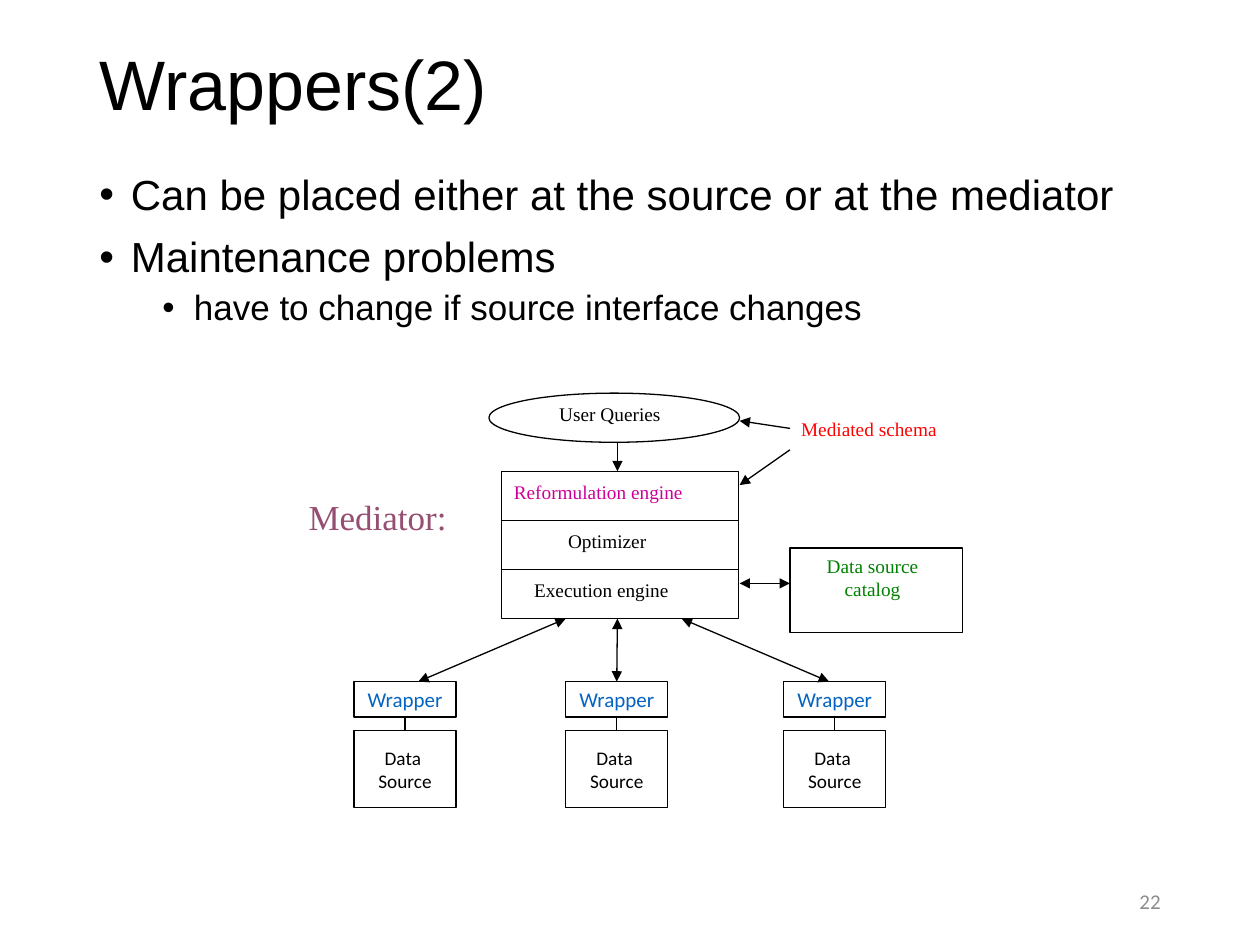
from lxml.etree import SubElement
from pptx import Presentation
from pptx.dml.color import RGBColor
from pptx.enum.shapes import MSO_CONNECTOR, MSO_SHAPE
from pptx.enum.text import MSO_ANCHOR, PP_ALIGN
from pptx.oxml.ns import qn
from pptx.util import Pt

PX = 9144
HUES = {"ink": "000000", "gray": "8C8C8C", "blue": "0563C1", "plum": "954F72",
        "red": "FF0000", "green": "008000", "pink": "CC0099"}
TIMES = {"name": "Times New Roman", "size": Pt(11)}
CALIBRI = {"name": "Calibri", "size": Pt(11)}
ARIAL = {"name": "Arial", "size": Pt(24)}
MID = {"vertical_anchor": MSO_ANCHOR.MIDDLE}


def apply(item, form):
    """Set each format value on the item."""
    for key, value in form.items():
        setattr(item, key, value)


def hue(name):
    """Return the named colour."""
    return RGBColor.from_string(HUES[name])


def write(frame, lines, font, color="ink", para={}, form={}):
    """Fill a text frame with paragraphs of one style."""
    apply(frame, {"word_wrap": True} | form)
    for i, line in enumerate(lines):
        par = frame.paragraphs[0] if i == 0 else frame.add_paragraph()
        apply(par, para)
        run = par.add_run()
        run.text = line
        apply(run.font, font)
        run.font.color.rgb = hue(color)
    return frame.paragraphs


def label(slide, box, lines, font=TIMES, color="ink", para={}, form={}):
    """Add a text box."""
    area = slide.shapes.add_textbox(*(n * PX for n in box))
    return write(area.text_frame, lines, font, color, para, form)


def block(slide, box, kind=MSO_SHAPE.RECTANGLE):
    """Add an unfilled outline shape."""
    shape = slide.shapes.add_shape(kind, *(n * PX for n in box))
    shape.shadow.inherit = False
    shape.fill.background()
    shape.line.color.rgb = hue("ink")
    shape.line.width = Pt(0.75)
    return shape


def link(slide, start, end, heads=()):
    """Add a straight line with the given arrowheads."""
    line = slide.shapes.add_connector(
        MSO_CONNECTOR.STRAIGHT, *(n * PX for n in (*start, *end)))
    line.line.color.rgb = hue("ink")
    line.line.width = Pt(0.75)
    SubElement(line._element.spPr, qn("a:effectLst"))
    for head in heads:
        SubElement(line.line._get_or_add_ln(), qn(f"a:{head}"), type="triangle")
    return line


def title(slide, box):
    """Place the slide title."""
    label(slide, box, ["Wrappers(2)"], ARIAL | {"size": Pt(40)},
          para={"line_spacing": 0.9}, form=MID)


def points(slide, box):
    """Place the bulleted points."""
    items = [("Can be placed either at the source or at the mediator", 0, 24, 0),
             ("Maintenance problems", 0, 24, 10),
             ("have to change if source interface changes", 1, 20, 5)]
    pars = label(slide, box, [item[0] for item in items], ARIAL,
                 para={"line_spacing": 0.9})
    for par, (_, level, size, gap) in zip(pars, items):
        apply(par, {"level": level, "space_before": Pt(gap)})
        par.runs[0].font.size = Pt(size)
        props = par._p.get_or_add_pPr()
        props.set("marL", str((25 + 50 * level) * PX))
        props.set("indent", str(-25 * PX))
        SubElement(props, qn("a:buFont"), typeface="Arial")
        SubElement(props, qn("a:buChar"), char="•")


def queries(slide, box):
    """Place the user queries oval and its arrow down."""
    x, y, w, h = box
    block(slide, box, MSO_SHAPE.OVAL)
    label(slide, (x + 46, y + 2, 107, 33), ["User Queries"])
    link(slide, (x + 102, y + h), (x + 102, y + h + 23), ["tailEnd"])


def engine(slide, box):
    """Place the mediator with its three layers."""
    x, y, w, h = box
    block(slide, box)
    rows = [("Reformulation engine", "pink", 0, 164),
            ("Optimizer", "ink", 43, 88), ("Execution engine", "ink", 16, 135)]
    for i, (name, color, left, wide) in enumerate(rows):
        top = y + i * h // 3
        label(slide, (x + left, top + 2, wide, 33), [name], color=color)
        if i:
            link(slide, (x, top), (x + w, top))
    label(slide, (x - 163, y + 14, 139, 51), ["Mediator:"],
          TIMES | {"size": Pt(20)}, "plum")


def schema(slide, box):
    """Place the mediated schema label and its two arrows."""
    x, y, w, h = box
    label(slide, box, ["Mediated schema"], color="red")
    for start, end in ((14, 8), (31, 59)):
        link(slide, (x + 1, y + start), (x - 39, y + end), ["tailEnd"])


def catalog(slide, box):
    """Place the data source catalog and its link to the mediator."""
    x, y, w, h = box
    block(slide, box)
    label(slide, (x + 16, y, 99, 55), ["Data source", "catalog"], color="green",
          para={"alignment": PP_ALIGN.CENTER})
    link(slide, (x - 40, y + 28), (x, y + 28), ["headEnd", "tailEnd"])


def source(slide, box):
    """Place a wrapper joined to its data source and return the wrapper."""
    x, y, w, h = box
    look = {"para": {"alignment": PP_ALIGN.CENTER},
            "form": MID | {"word_wrap": False}}
    cap = block(slide, (x, y, w, 28))
    write(cap.text_frame, ["Wrapper"], CALIBRI | {"size": Pt(12)}, "blue", **look)
    base = block(slide, (x, y + 39, w, h - 39))
    write(base.text_frame, ["Data ", "Source"], CALIBRI, **look)
    line = link(slide, (x + w // 2, y + 28), (x + w // 2, y + 39))
    line.begin_connect(cap, 2)
    line.end_connect(base, 0)
    return cap


def sources(slide, box):
    """Place the three sources with their arrows to the mediator."""
    x, y, w, h = box
    for left, foot, tip in ((0, 51, 168), (168, 209, 209), (341, 377, 260)):
        cap = source(slide, (x + left, y, 81, h))
        line = link(slide, (x + foot, y), (x + tip, y - 50), ["headEnd", "tailEnd"])
        if foot == tip:
            line.begin_connect(cap, 0)


def number(slide, box):
    """Place the slide number."""
    label(slide, box, ["22"], CALIBRI | {"size": Pt(12)}, "gray",
          {"alignment": PP_ALIGN.RIGHT}, MID)


def main():
    """Build and save the slide."""
    deck = Presentation()
    apply(deck, {"slide_width": 1000 * PX, "slide_height": 750 * PX})
    slide = deck.slides.add_slide(deck.slide_layouts[6])
    title(slide, (69, 20, 862, 99))
    points(slide, (69, 133, 862, 543))
    queries(slide, (388, 312, 199, 39))
    engine(slide, (398, 374, 188, 117))
    schema(slide, (626, 326, 136, 33))
    catalog(slide, (627, 435, 137, 67))
    sources(slide, (281, 541, 422, 100))
    number(slide, (706, 695, 225, 40))
    deck.save("out.pptx")


if __name__ == "__main__":
    main()
